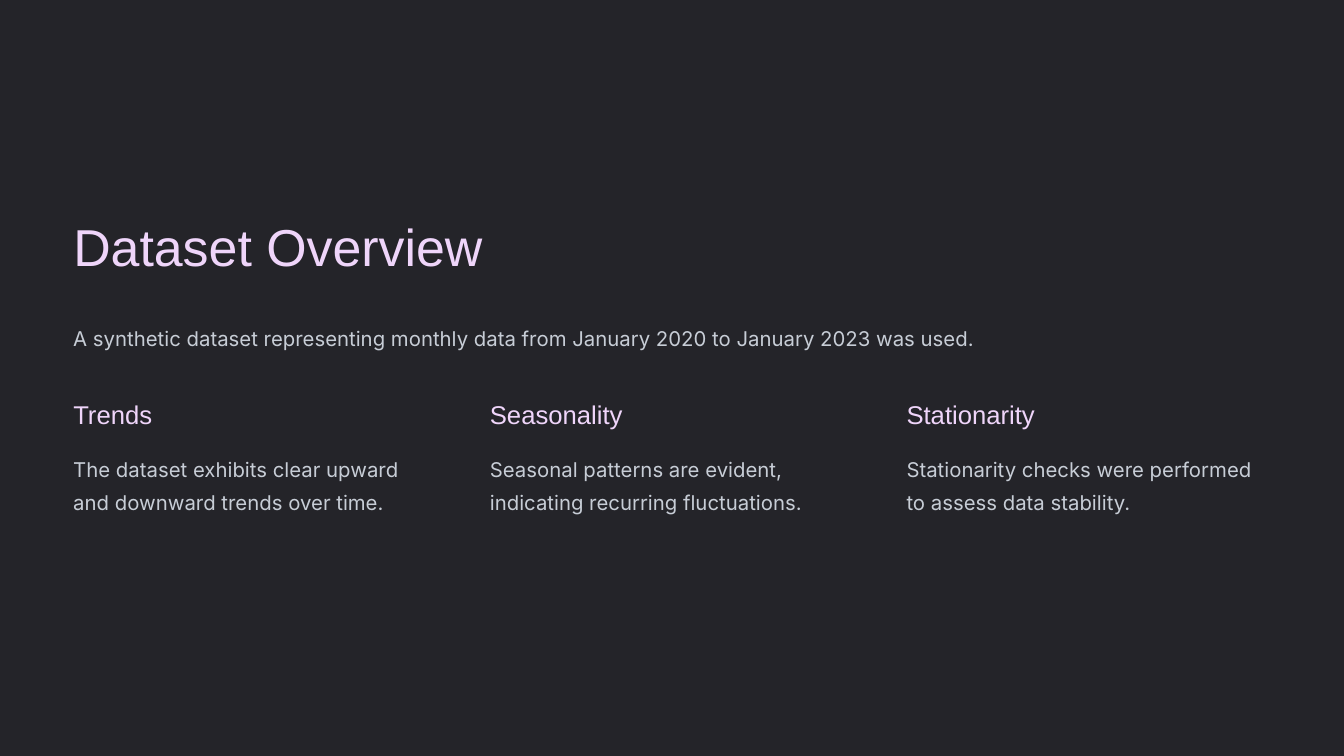
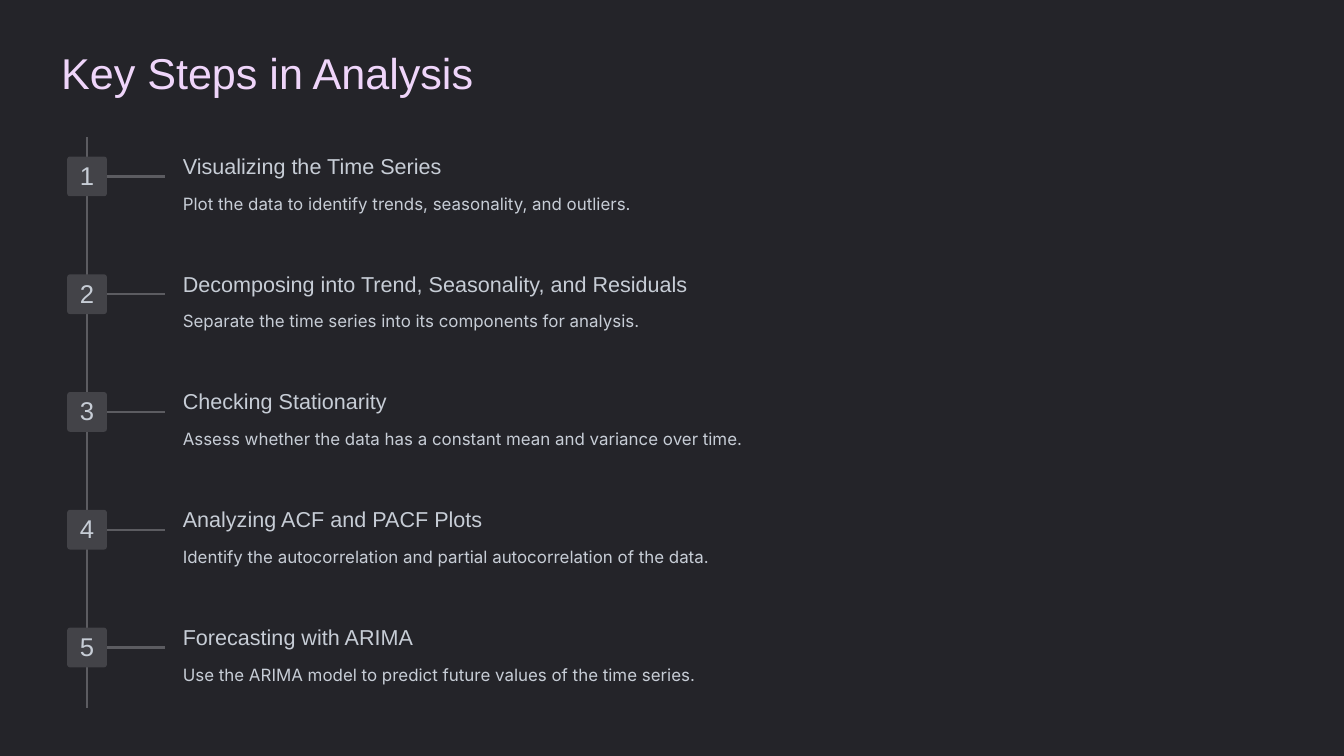
from lxml import etree
from pptx import Presentation
from pptx.dml.color import RGBColor
from pptx.enum.shapes import MSO_CONNECTOR, MSO_SHAPE
from pptx.enum.text import MSO_ANCHOR, MSO_AUTO_SIZE, PP_ALIGN
from pptx.oxml.ns import qn
from pptx.util import Inches, Pt

RECTANGLE, ROUNDED = MSO_SHAPE.RECTANGLE, MSO_SHAPE.ROUNDED_RECTANGLE
STRAIGHT = MSO_CONNECTOR.STRAIGHT
TOP, MIDDLE = MSO_ANCHOR.TOP, MSO_ANCHOR.MIDDLE
LEFT, CENTER = PP_ALIGN.LEFT, PP_ALIGN.CENTER
NO_FIT = MSO_AUTO_SIZE.NONE
TITLE_ONLY = 5
SLIDE_WIDTH, SLIDE_HEIGHT = 20, 11.25

BACKGROUND, BACKDROP, BADGE, LINE = "181719", "242429", "434348", "5C5C61"
ACCENT, TEXT = "EFD5FA", "C7CDD6"
HEADING_FONT, BODY_FONT = "Arial", "Inter"

TOPICS = [
    ("Trends", "The dataset exhibits clear upward and downward trends over time."),
    ("Seasonality", "Seasonal patterns are evident, indicating recurring fluctuations."),
    ("Stationarity", "Stationarity checks were performed to assess data stability."),
]
STEPS = [
    ("Visualizing the Time Series",
     "Plot the data to identify trends, seasonality, and outliers."),
    ("Decomposing into Trend, Seasonality, and Residuals",
     "Separate the time series into its components for analysis."),
    ("Checking Stationarity",
     "Assess whether the data has a constant mean and variance over time."),
    ("Analyzing ACF and PACF Plots",
     "Identify the autocorrelation and partial autocorrelation of the data."),
    ("Forecasting with ARIMA",
     "Use the ARIMA model to predict future values of the time series."),
]


def set_color(fill, color):
    """Give a fill a solid hex colour."""
    fill.solid()
    fill.fore_color.rgb = RGBColor.from_string(color)


def write(shape, text, size, spacing, font=BODY_FONT, color=TEXT,
          align=LEFT, anchor=TOP):
    """Fill a shape with one styled paragraph and no insets."""
    frame = shape.text_frame
    frame.text = text
    frame.word_wrap = True
    frame.auto_size = NO_FIT
    frame.vertical_anchor = anchor
    frame.margin_left = frame.margin_right = 0
    frame.margin_top = frame.margin_bottom = 0
    paragraph = frame.paragraphs[0]
    paragraph.alignment = align
    paragraph.line_spacing = Pt(spacing)
    run_font = paragraph.runs[0].font
    run_font.name = font
    run_font.size = Pt(size)
    set_color(run_font.fill, color)


def add_text(slide, left, top, width, height, text, size, spacing, **style):
    """Add a text box at a place given in inches."""
    box = slide.shapes.add_textbox(
        Inches(left), Inches(top), Inches(width), Inches(height))
    write(box, text, size, spacing, **style)


def add_block(slide, kind, left, top, width, height, color):
    """Add a flat filled shape without outline or shadow."""
    block = slide.shapes.add_shape(
        kind, Inches(left), Inches(top), Inches(width), Inches(height))
    block.shadow.inherit = False
    set_color(block.fill, color)
    block.line.fill.background()
    return block


def add_line(slide, start_x, start_y, end_x, end_y):
    """Add a plain grey timeline line."""
    line = slide.shapes.add_connector(
        STRAIGHT, Inches(start_x), Inches(start_y), Inches(end_x), Inches(end_y))
    line.line.width = Pt(2.4)
    set_color(line.line.fill, LINE)
    etree.SubElement(line._element.spPr, qn("a:effectLst"))


def add_titled_slide(presentation, title, left, top, width, height, size, spacing):
    """Add a slide with its backdrop and its styled title placeholder."""
    slide = presentation.slides.add_slide(presentation.slide_layouts[TITLE_ONLY])
    placeholder = slide.shapes.title
    placeholder.left, placeholder.top = Inches(left), Inches(top)
    placeholder.width, placeholder.height = Inches(width), Inches(height)
    write(placeholder, title, size, spacing, font=HEADING_FONT, color=ACCENT)
    backdrop = add_block(
        slide, RECTANGLE, 0, 0, SLIDE_WIDTH, SLIDE_HEIGHT, BACKDROP)
    placeholder.element.addprevious(backdrop.element)
    return slide


def add_topic(slide, left, top, heading, detail):
    """Add one column with a heading above its detail."""
    add_text(slide, left, top, 3.88, 0.53, heading, 27.5, 34.4,
             font=HEADING_FONT, color=ACCENT)
    add_text(slide, left, top + 0.75, 5.44, 1.09, detail, 21.8, 35.6)


def add_step(slide, left, top, number, heading, detail):
    """Add one timeline step with its numbered badge, branch and texts."""
    side = 0.59
    add_line(slide, left + side, top + side / 2, left + 1.46, top + side / 2)
    badge = add_block(slide, ROUNDED, left, top, side, side, BADGE)
    badge.adjustments[0] = 0.07
    write(badge, str(number), 27.5, 27.5, font=HEADING_FONT,
          align=CENTER, anchor=MIDDLE)
    badge.text_frame.margin_top = Inches(0.04)
    add_text(slide, left + 1.72, top - 0.07, 7.78, 0.44, heading, 23.1, 28.8,
             font=HEADING_FONT)
    add_text(slide, left + 1.72, top + 0.44, 16.37, 0.5, detail, 18.1, 29.4)


def build_overview(presentation):
    """Build the dataset slide with an introduction and three columns."""
    left, column_step = 1.09, 6.2
    slide = add_titled_slide(
        presentation, "Dataset Overview", left, 3.16, 7.75, 1.03, 55.6, 69.4)
    add_text(slide, left, 4.72, 17.83, 0.59,
             "A synthetic dataset representing monthly data from "
             "January 2020 to January 2023 was used.", 21.8, 35.6)
    for index, (heading, detail) in enumerate(TOPICS):
        add_topic(slide, left + index * column_step, 5.92, heading, detail)


def build_steps(presentation):
    """Build the timeline slide of numbered analysis steps."""
    left, first_top, last_top = 1, 2.33, 9.34
    step_height = (last_top - first_top) / (len(STEPS) - 1)
    slide = add_titled_slide(
        presentation, "Key Steps in Analysis", 0.91, 0.65, 6.47, 0.87, 46.2, 58.1)
    add_line(slide, left + 0.29, 2.04, left + 0.29, 10.54)
    for index, (heading, detail) in enumerate(STEPS):
        add_step(slide, left, first_top + index * step_height,
                 index + 1, heading, detail)


def main():
    """Build and save the presentation."""
    presentation = Presentation()
    presentation.slide_width = Inches(SLIDE_WIDTH)
    presentation.slide_height = Inches(SLIDE_HEIGHT)
    set_color(presentation.slide_master.background.fill, BACKGROUND)
    build_overview(presentation)
    build_steps(presentation)
    presentation.save("out.pptx")


if __name__ == "__main__":
    main()
